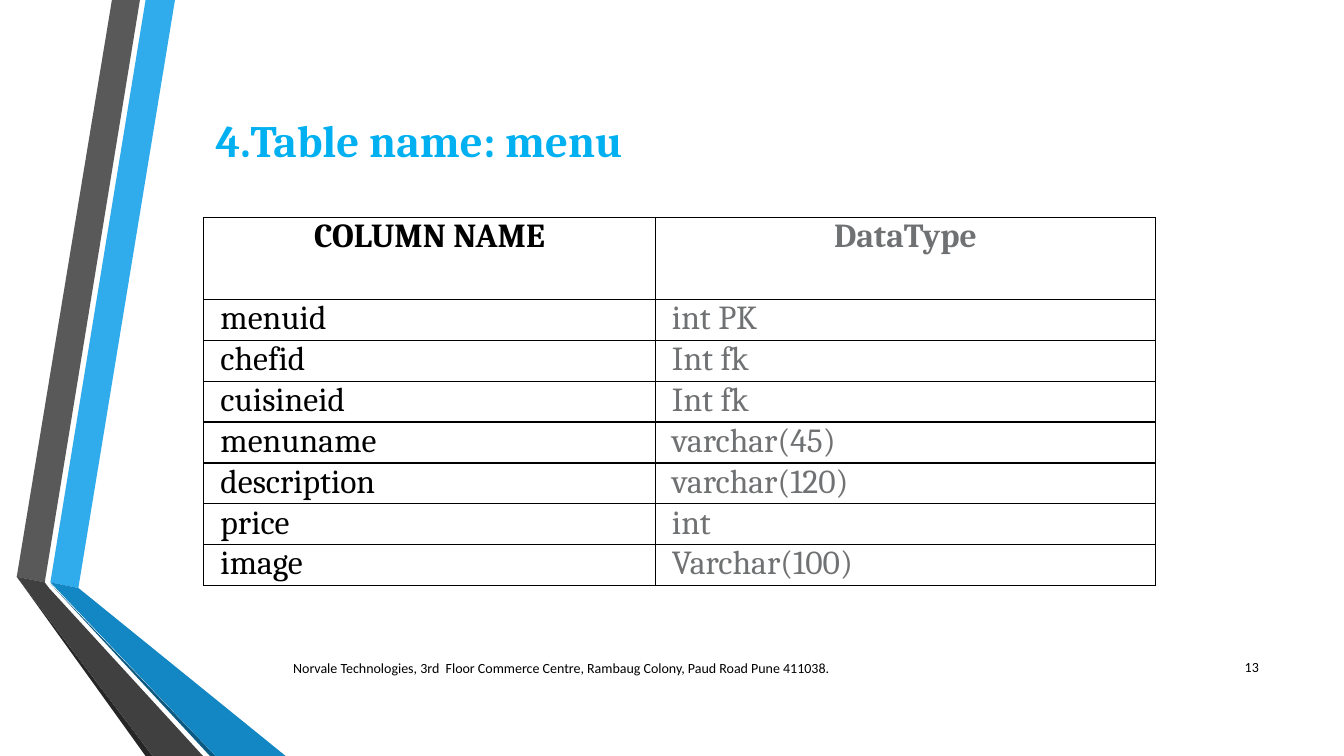
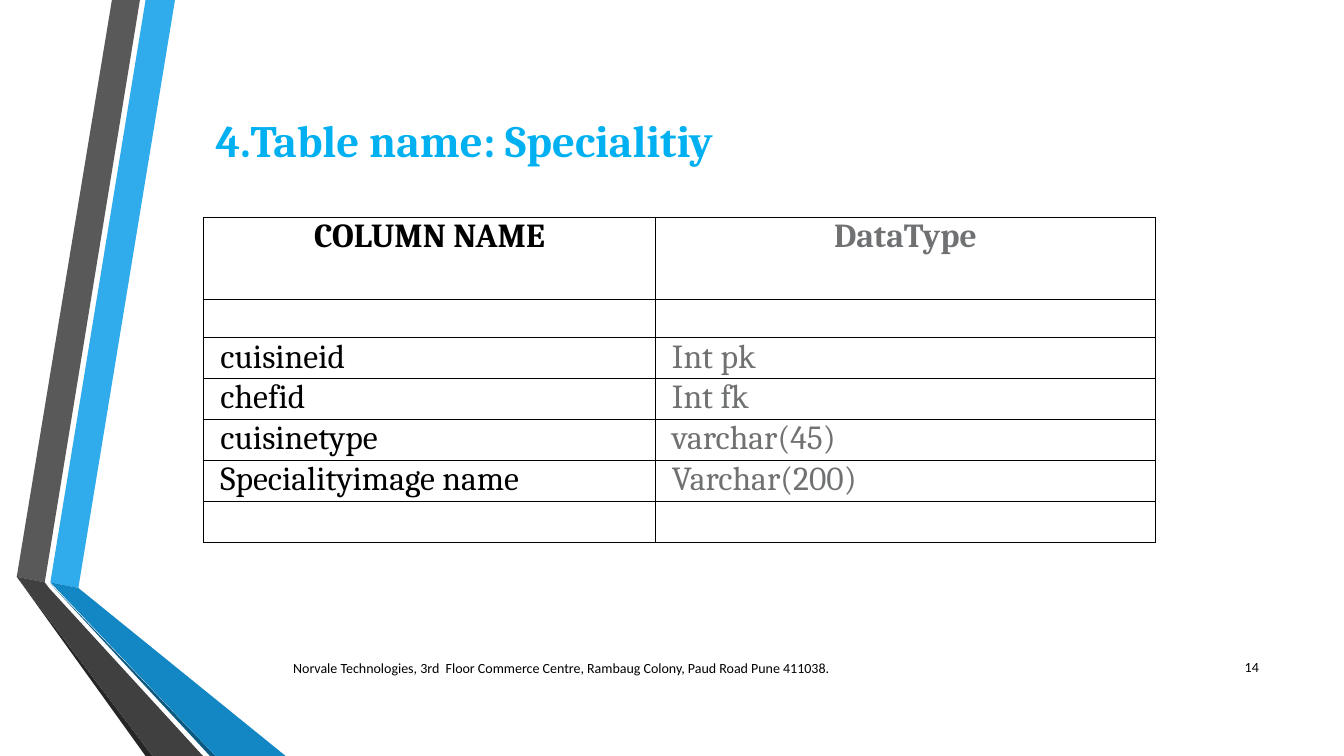
import pptx
import pptx.util
import pptx.dml.color
import pptx.enum.text
import pptx.oxml
import pptx.oxml.ns

Pt = pptx.util.Pt
ALIGN = pptx.enum.text.PP_ALIGN
ANCHOR = pptx.enum.text.MSO_ANCHOR

BLACK, GREY, SKY = "000000", "6F7173", "00B0F0"
SERIF, SANS = "Cambria", "Calibri"
PAGE = (0, 0, 960, 540)
TITLE = (154, 80.6, 700, 58)
TABLE = (145.5, 155.5, 680, 263)
FOOTER = (202.3, 463, 704, 28.8)
SPLIT = 322.5
HEAD, ROW, SLIM = 58.4, 29.2, 27.4
ADDRESS = "Norvale Technologies, 3rd  Floor Commerce Centre, Rambaug Colony, Paud Road Pune 411038."

BANDS = [
    ("30ACEC", [(36, 416.2), (55.6, 419.8), (124.6, 0), (104.4, 0)]),
    ("595959", [(100, 0), (80, 0), (11.8, 412.4), (31.8, 415.6)]),
    ("262626", [(11.8, 412.4), (104.5, 540), (108.6, 540)]),
    ("0C5A82", [(36, 416.8), (149.8, 540), (154, 540)]),
    ("1287C3", [(36, 416.2), (154, 540), (203.8, 540), (55.6, 419.8)]),
    ("404040", [(145.2, 540), (34.6, 419.8), (31.8, 415.6), (11.8, 412.4), (108.6, 540)]),
]

TABLES = [
    ("4.Table name: menu", 13, [
        ("menuid", "int PK"),
        ("chefid", "Int fk"),
        ("cuisineid", "Int fk"),
        ("menuname", "varchar(45)"),
        ("description", "varchar(120)"),
        ("price", "int"),
        ("image", "Varchar(100)"),
    ], {}),
    ("4.Table name: Specialitiy", 14, [
        ("", ""),
        ("cuisineid", "Int pk"),
        ("chefid", "Int fk"),
        ("cuisinetype", "varchar(45)"),
        ("Specialityimage name", "Varchar(200)"),
        ("", ""),
    ], {1: SLIM}),
]


def paint(target, tone):
    if hasattr(target, "solid"):
        target.solid()
        target = target.fore_color
    target.rgb = pptx.dml.color.RGBColor.from_string(tone)


def style(para, face, size, tone, bold=False, align=ALIGN.LEFT):
    para.alignment = align
    font = para.font
    font.name, font.size, font.bold = face, Pt(size), bold
    paint(font.color, tone)


def place(shape, box):
    shape.left, shape.top, shape.width, shape.height = map(Pt, box)


def add_bands(slide, layout, box):
    left, top = box[:2]
    tree = layout.shapes.element
    for spot, (tone, points) in enumerate(BANDS, 2):
        path = slide.shapes.build_freeform(*points[0], scale=Pt(1))
        path.add_line_segments(points[1:], close=True)
        band = path.convert_to_shape(Pt(left), Pt(top))
        band.shadow.inherit = False
        paint(band.fill, tone)
        band.line.fill.background()
        tree.insert(spot, band.element)


def add_title(slide, text, box):
    title = slide.shapes.title
    place(title, box)
    frame = title.text_frame
    frame.margin_left = frame.margin_top = frame.margin_right = frame.margin_bottom = 0
    frame.auto_size = pptx.enum.text.MSO_AUTO_SIZE.NONE
    frame.vertical_anchor = ANCHOR.TOP
    frame.text = text
    style(frame.paragraphs[0], SERIF, 32, SKY, True)


def add_label(slide, text, box, align):
    label = slide.shapes.add_textbox(*map(Pt, box))
    frame = label.text_frame
    frame.word_wrap = True
    frame.vertical_anchor = ANCHOR.MIDDLE
    frame.text = text
    style(frame.paragraphs[0], SANS, 10, BLACK, align=align)


def add_footer(slide, number, box):
    left, top, width, height = box
    add_label(slide, ADDRESS, (left, top, 558, height), ALIGN.LEFT)
    add_label(slide, str(number), (left + width - 43.2, top - 0.8, 43.2, height), ALIGN.RIGHT)


def add_borders(cell):
    props = cell._tc.get_or_add_tcPr()
    for side in "LRTB":
        props.append(pptx.oxml.parse_xml(
            f'<a:ln{side} {pptx.oxml.ns.nsdecls("a")} w="12700"><a:solidFill>'
            f'<a:srgbClr val="{BLACK}"/></a:solidFill></a:ln{side}>'))


def fill_cell(cell, text, tone, head):
    add_borders(cell)
    cell.fill.background()
    cell.margin_top = cell.margin_right = cell.margin_bottom = 0
    cell.margin_left = 0 if head else Pt(12)
    cell.text = text
    size = 24 if text else 18
    align = ALIGN.CENTER if head else ALIGN.LEFT
    style(cell.text_frame.paragraphs[0], SERIF, size, tone, head, align)


def add_grid(slide, fields, slim, box):
    left, top, width, _ = box
    rows = [("COLUMN NAME", "DataType"), *fields]
    sizes = [HEAD] + [slim.get(i, ROW) for i in range(1, len(rows))]
    frame = slide.shapes.add_table(len(rows), 2, *map(Pt, (left, top, width, sum(sizes))))
    table = frame.table
    table.first_row = table.horz_banding = False
    for column, size in zip(table.columns, (SPLIT, width - SPLIT)):
        column.width = Pt(size)
    for i, (texts, size) in enumerate(zip(rows, sizes)):
        table.rows[i].height = Pt(size)
        for j, (text, tone) in enumerate(zip(texts, (BLACK, GREY))):
            fill_cell(table.cell(i, j), text, tone, i == 0)


def main():
    deck = pptx.Presentation()
    deck.slide_width, deck.slide_height = map(Pt, PAGE[2:])
    layout = deck.slide_layouts[5]
    for title, number, fields, slim in TABLES:
        slide = deck.slides.add_slide(layout)
        add_title(slide, title, TITLE)
        add_grid(slide, fields, slim, TABLE)
        add_footer(slide, number, FOOTER)
    add_bands(slide, layout, PAGE)
    deck.save("out.pptx")


if __name__ == "__main__":
    main()
